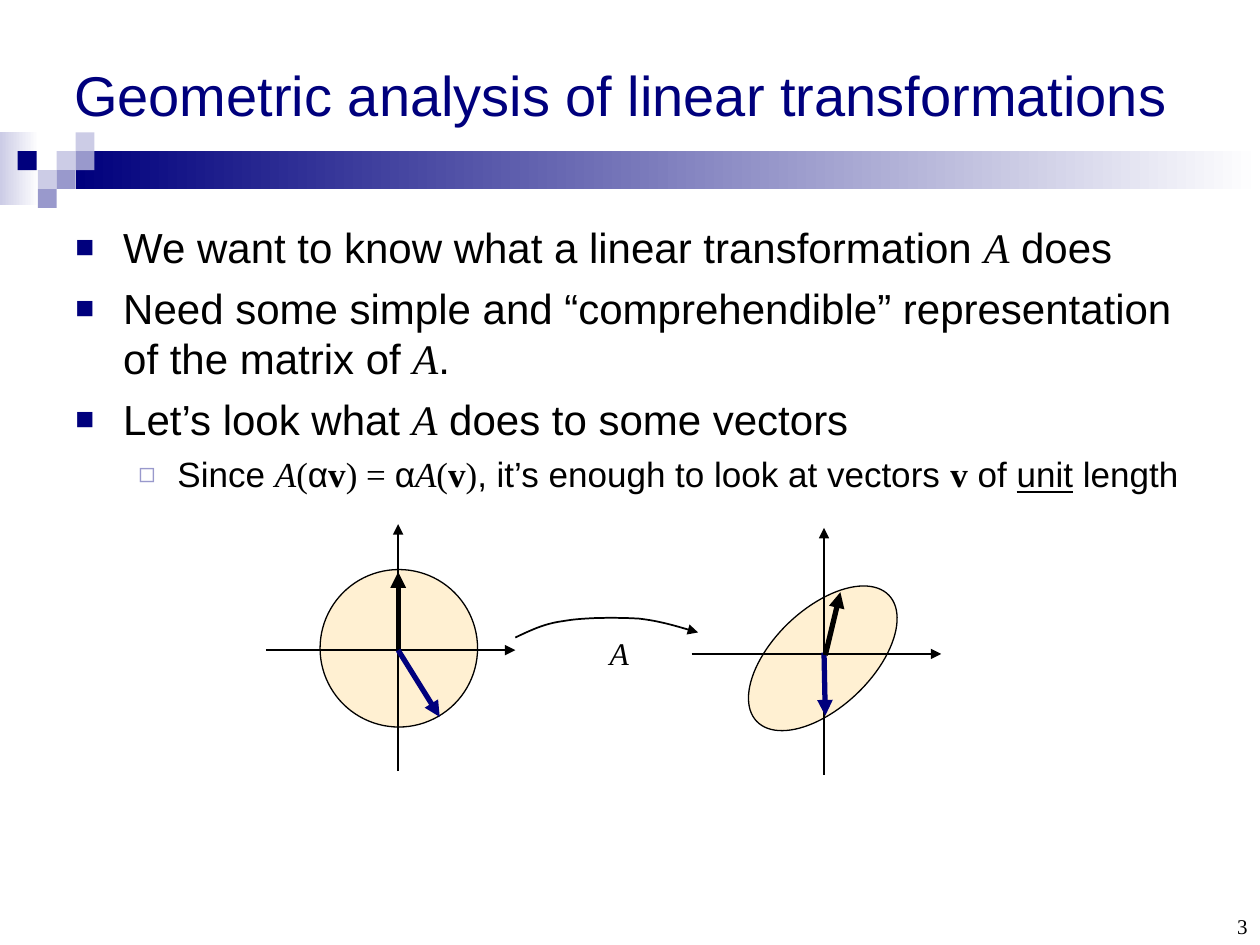
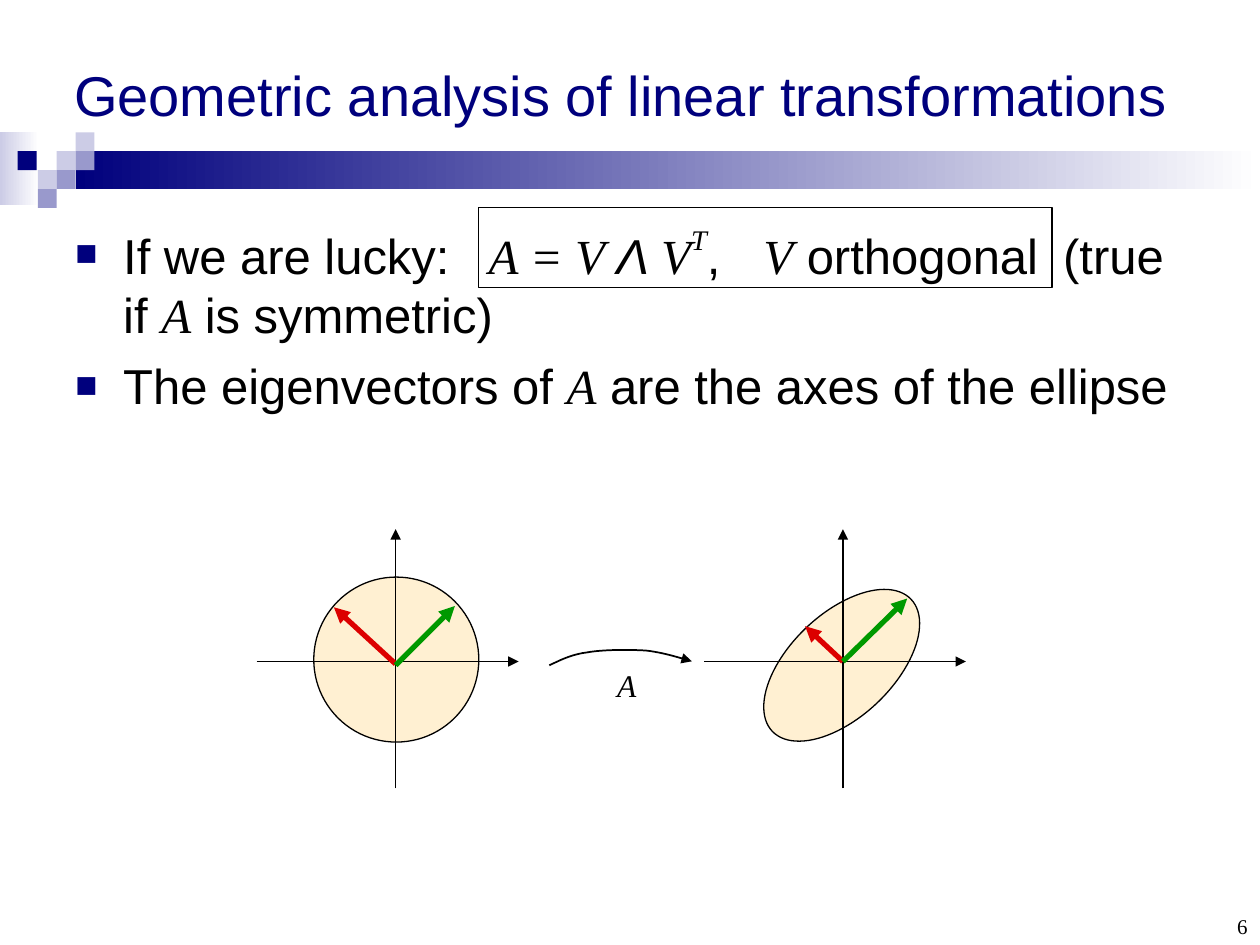
from lxml.etree import SubElement
from pptx import Presentation
from pptx.dml.color import RGBColor
from pptx.enum.shapes import MSO_CONNECTOR, MSO_SHAPE as Shape
from pptx.enum.text import MSO_ANCHOR as Anchor, PP_ALIGN as Align
from pptx.oxml.ns import qn
from pptx.util import Inches, Pt

COLORS = {"navy": "00007D", "lilac": "9999CC", "pale": "CCCCE6", "white": "FFFFFF",
          "black": "000000", "disc": "FFCC66", "red": "DC0000", "green": "009900"}
RGB = {name: RGBColor.from_string(value) for name, value in COLORS.items()}
SANS, SERIF = "Arial", "Times New Roman"

# Run styles: font, bold, italic, underline
STYLES = {"plain": (SANS, False, False, False), "unit": (SANS, False, False, True),
          "greek": (SANS, False, True, False), "math": (SERIF, False, True, False),
          "super": (SERIF, False, True, False), "upright": (SERIF, False, False, False),
          "vector": (SERIF, True, False, False)}
# Bullet levels: character, colour, size in percent, left margin, hanging indent
BULLETS = [("■", "navy", 75, 0.38, -0.38), ("◻", "lilac", 80, 0.81, -0.31)]

TITLE = "Geometric analysis of linear transformations"
BAND_TOP, TILE = 1.2, 0.15
TILES = [(0.45, 1.2, "pale"), (0.6, 1.05, "pale"), (0.6, 1.2, "lilac"),
         (0.3, 1.35, "pale"), (0.14, 1.2, "navy"), (0.45, 1.35, "lilac"),
         (0.3, 1.5, "lilac")]
# Mapping arrow: three Bézier pieces, as offsets from its start
MAP_CURVE = [[(0, 0), (0.11, -0.05), (0.22, -0.11), (0.38, -0.13)],
             [(0.38, -0.13), (0.54, -0.16), (0.8, -0.16), (0.98, -0.15)],
             [(0.98, -0.15), (1.16, -0.13), (1.31, -0.08), (1.45, -0.04)]]
CURVE_STEPS = 12

SLIDES = [
    {"number": "3", "size": 24, "gap": 6, "tabs": [],
     "points": [
         (0, [("We want to know what a linear transformation ", "plain"), ("A", "math"),
              (" does", "plain")]),
         (0, [("Need some simple and “comprehendible” representation of the matrix of ",
               "plain"), ("A", "math"), (".", "plain")]),
         (0, [("Let’s look what ", "plain"), ("A", "math"),
              (" does to some vectors", "plain")]),
         (1, [("Since ", "plain"), ("A", "math"), ("(", "upright"), ("α", "plain"),
              ("v", "vector"), (") = ", "upright"), ("α", "plain"), ("A", "math"),
              ("(", "upright"), ("v", "vector"), (")", "upright"),
              (", it’s enough to look at vectors ", "plain"), ("v", "vector"),
              (" of ", "plain"), ("unit", "unit"), (" length", "plain")])],
     "reach": 1, "origins": [(3.16, 5.16), (6.54, 5.19)],
     "circle": (2.54, 4.52, 1.25, 1.25), "ellipse": (6.14, 4.5, 0.78, 1.45),
     "vectors": [((3.16, 5.15), (3.16, 4.54), "black"),
                 ((3.16, 5.16), (3.49, 5.69), "navy"),
                 ((6.54, 5.18), (6.55, 5.68), "navy"),
                 ((6.55, 5.2), (6.67, 4.7), "black")],
     "map_start": (4.09, 5.06), "map_scale": 1, "map_label": (4.74, 4.98),
     "formula_frame": None},
    {"number": "6", "size": 28, "gap": 7, "tabs": [3.28, 5.46, 7.84],
     "points": [
         (0, [("If we are lucky:\t", "plain"), ("A = V ", "math"), ("Λ", "greek"),
              (" V", "math"), ("T", "super"), (",\t", "plain"), ("V", "math"),
              (" orthogonal\t(true if ", "plain"), ("A", "math"),
              (" is symmetric)", "plain")]),
         (0, [("The eigenvectors of ", "plain"), ("A", "math"),
              (" are the axes of the ellipse", "plain")])],
     "reach": 1.05, "origins": [(3.14, 5.25), (6.69, 5.25)],
     "circle": (2.49, 4.58, 1.31, 1.31), "ellipse": (6.27, 4.52, 0.82, 1.52),
     "vectors": [((6.69, 5.25), (6.39, 4.97), "red"),
                 ((6.69, 5.25), (7.2, 4.75), "green"),
                 ((3.14, 5.27), (2.65, 4.82), "red"),
                 ((3.14, 5.28), (3.61, 4.81), "green")],
     "map_start": (4.36, 5.28), "map_scale": 0.78, "map_label": (4.8, 5.24),
     "formula_frame": (3.8, 1.65, 4.55, 0.63)},
]


def write(slide, box, points, size, color="black", anchor=Anchor.TOP, align=Align.LEFT,
          wrap=True, bulleted=False, gap=0, tabs=()):
    """Add a text box; points is a list of (level, [(text, style), ...])."""
    frame = slide.shapes.add_textbox(*map(Inches, box)).text_frame
    frame.word_wrap, frame.vertical_anchor = wrap, anchor
    for i, (level, runs) in enumerate(points):
        paragraph = frame.add_paragraph() if i else frame.paragraphs[0]
        paragraph.alignment, paragraph.level = align, level
        if bulleted:
            char, bullet_color, percent, margin, indent = BULLETS[level]
            props = paragraph._p.get_or_add_pPr()
            props.set("marL", str(Inches(margin)))
            props.set("indent", str(Inches(indent)))
            SubElement(SubElement(props, qn("a:buClr")), qn("a:srgbClr"),
                       val=COLORS[bullet_color])
            SubElement(props, qn("a:buSzPct"), val=str(percent * 1000))
            SubElement(props, qn("a:buFont"), typeface=SANS)
            SubElement(props, qn("a:buChar"), char=char)
            if tabs:
                stops = SubElement(props, qn("a:tabLst"))
                for stop in tabs:
                    SubElement(stops, qn("a:tab"), pos=str(Inches(stop)), algn="l")
        if i:
            paragraph.space_before = Pt(gap - level)
        for text, style in runs:
            run = paragraph.add_run()
            run.text = text
            font = run.font
            font.name, font.bold, font.italic, font.underline = STYLES[style]
            font.size, font.color.rgb = Pt(size - 4 * level), RGB[color]
            if style == "super":
                run._r.get_or_add_rPr().set("baseline", "50000")


def draw_arrow(slide, start, end, color="black", width=0.75):
    arrow = slide.shapes.add_connector(MSO_CONNECTOR.STRAIGHT,
                                       *map(Inches, (*start, *end)))
    arrow.line.color.rgb, arrow.line.width = RGB[color], Pt(width)
    SubElement(arrow.line._get_or_add_ln(), qn("a:tailEnd"), type="triangle")
    SubElement(arrow._element.spPr, qn("a:effectLst"))


prs = Presentation()
prs.slide_width, prs.slide_height = Inches(10), Inches(7.5)

for content in SLIDES:
    slide = prs.slides.add_slide(prs.slide_layouts[6])

    # Band and tiles under the title
    for box, color in [((0, 1.05, 0.31, 0.58), "pale"),
                       ((0.6, BAND_TOP, 9.4, 2 * TILE), "navy")]:
        band = slide.shapes.add_shape(Shape.RECTANGLE, *map(Inches, box))
        band.shadow.inherit = False
        band.line.fill.background()
        band.fill.gradient()
        band.fill.gradient_angle = 0
        for stop, stop_color in zip(band.fill.gradient_stops, (color, "white")):
            stop.color.rgb = RGB[stop_color]
    for left, top, color in TILES:
        tile = slide.shapes.add_shape(Shape.RECTANGLE,
                                      *map(Inches, (left, top, TILE, TILE)))
        tile.shadow.inherit = False
        tile.line.fill.background()
        tile.fill.solid()
        tile.fill.fore_color.rgb = RGB[color]

    # Title, bullet points and page number
    write(slide, (0.49, 0, 9, 1.5), [(0, [(TITLE, "plain")])], 32, color="navy",
          anchor=Anchor.MIDDLE)
    write(slide, (0.5, 1.71, 9, 2.4), content["points"], content["size"], bulleted=True,
          gap=content["gap"], tabs=content["tabs"])
    write(slide, (7.67, 7, 2.33, 0.5), [(0, [(content["number"], "upright")])], 12,
          anchor=Anchor.BOTTOM, align=Align.RIGHT)

    # Unit circle and the ellipse it is mapped to
    for box, angle in [(content["circle"], 0), (content["ellipse"], 46.4)]:
        disc = slide.shapes.add_shape(Shape.OVAL, *map(Inches, box))
        disc.shadow.inherit = False
        disc.rotation = angle
        disc.fill.solid()
        disc.fill.fore_color.rgb = RGB["disc"]
        SubElement(disc._element.spPr.find(".//" + qn("a:srgbClr")), qn("a:alpha"),
                   val="29000")
        disc.line.color.rgb, disc.line.width = RGB["black"], Pt(0.75)

    # Axes and vectors
    reach = content["reach"]
    for x, y in content["origins"]:
        draw_arrow(slide, (x - 1.05 * reach, y), (x + 0.93 * reach, y))
        draw_arrow(slide, (x, y + 0.96 * reach), (x, y - reach))
    for start, end, color in content["vectors"]:
        draw_arrow(slide, start, end, color, width=3)

    # Curved arrow for the mapping A
    start_x, start_y = content["map_start"]
    scale = content["map_scale"]
    curve_points = []
    for piece in MAP_CURVE:
        for step in range(1, CURVE_STEPS + 1):
            t = step / CURVE_STEPS
            weights = ((1 - t) ** 3, 3 * t * (1 - t) ** 2, 3 * t ** 2 * (1 - t), t ** 3)
            dx, dy = (sum(w * p[axis] for w, p in zip(weights, piece)) for axis in (0, 1))
            curve_points.append((Inches(start_x + scale * dx), Inches(start_y + scale * dy)))
    builder = slide.shapes.build_freeform(Inches(start_x), Inches(start_y))
    builder.add_line_segments(curve_points, close=False)
    mapping = builder.convert_to_shape()
    mapping.shadow.inherit = False
    mapping.fill.background()
    mapping.line.color.rgb, mapping.line.width = RGB["black"], Pt(1)
    SubElement(mapping.line._get_or_add_ln(), qn("a:tailEnd"), type="triangle")
    write(slide, (*content["map_label"], 0.35, 0.4), [(0, [("A", "math")])], 18, wrap=False)

    if content["formula_frame"]:
        formula_frame = slide.shapes.add_shape(Shape.RECTANGLE,
                                               *map(Inches, content["formula_frame"]))
        formula_frame.shadow.inherit = False
        formula_frame.fill.background()
        formula_frame.line.color.rgb = RGB["black"]
        formula_frame.line.width = Pt(0.75)

prs.save("out.pptx")
